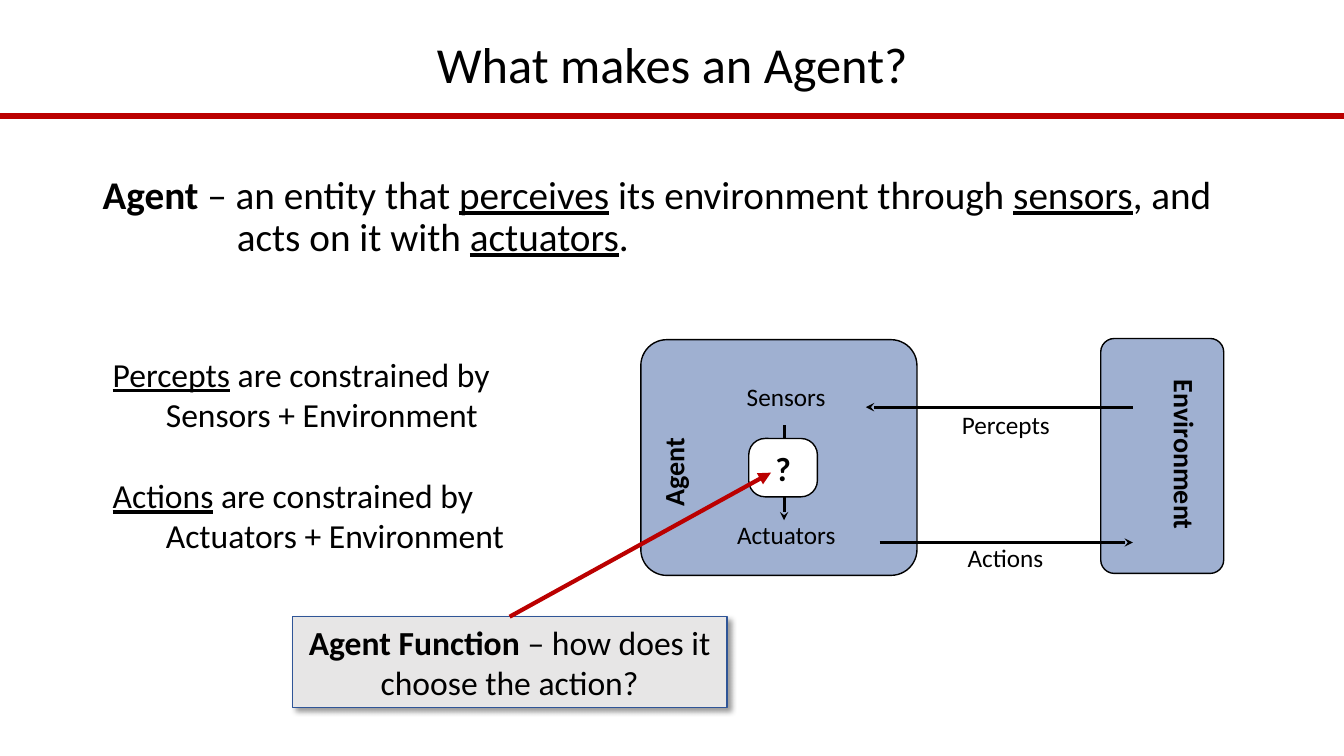
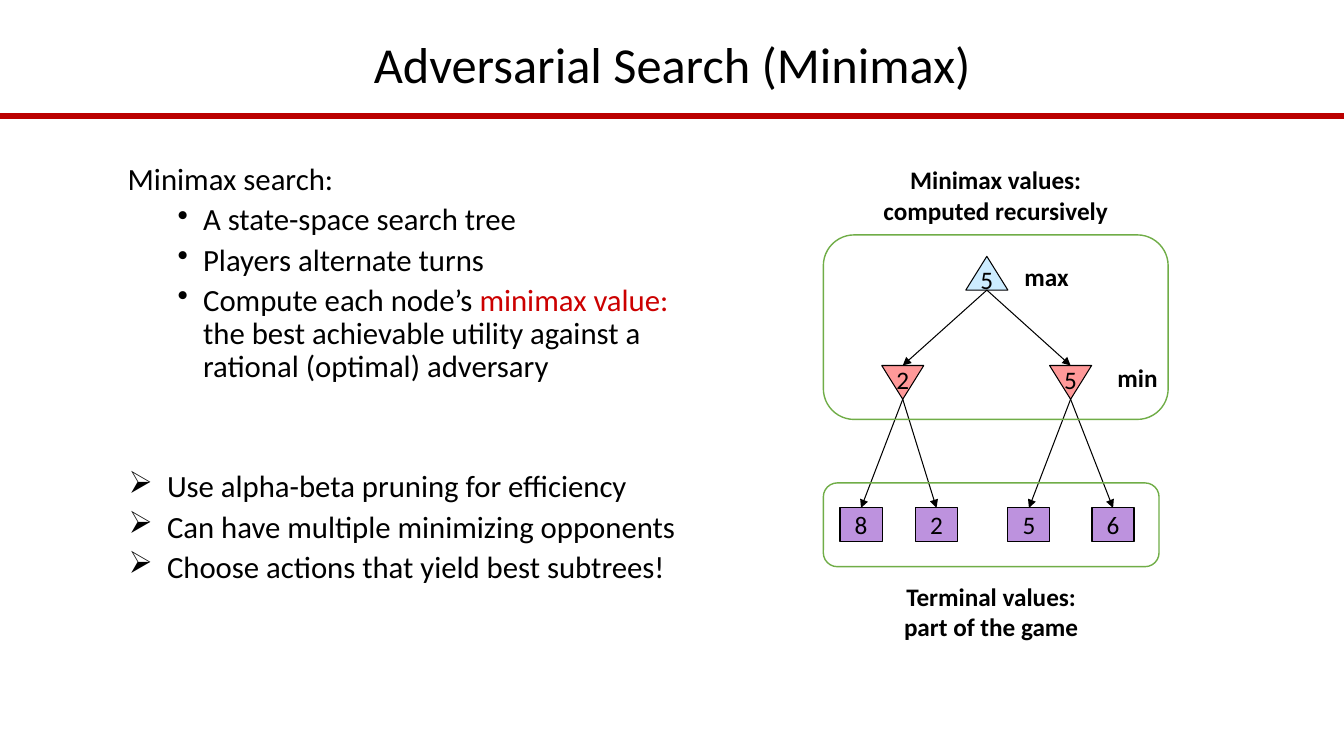
"""Build two lecture slides on agents and minimax search."""
from dataclasses import dataclass

from pptx import Presentation
from pptx import util as u
from pptx.dml.color import RGBColor
from pptx.enum import shapes, text
from pptx.oxml import parse_xml
from pptx.oxml.ns import nsdecls
from pptx.oxml.xmlchemy import OxmlElement

AGENT_TITLE = "What makes an Agent?"
DEFINITION = [
    [("Agent", "b"), (" – an entity that ", ""), ("perceives", "u"),
     (" its environment through ", ""), ("sensors", "u"),
     (", and acts on it with ", ""), ("actuators", "u"), (".", "")],
]
DEPENDENT = {"margin": 1.34}
CONSTRAINTS = [
    [("Percepts", "u"), (" are constrained by", "")],
    ("Sensors + Environment", DEPENDENT),
    ([("Actions", "u"), (" are constrained by", "")], {"before": 29}),
    ("Actuators + Environment", DEPENDENT),
]
FUNCTION = [[("Agent Function", "b"), (" – how does it choose the action?", "")]]
PANELS = [(16.15, 8.56, 6.96, 5.94), (27.74, 8.53, 3.1, 5.92)]
SIDE_LABELS = [
    ("Agent", (16.15, 10.59, 2.57, 1.78), 270, "left"),
    ("Environment", (26.77, 10.57, 5.26, 1.78), 90, "center"),
]
FLOW_LABELS = [
    ("Sensors", (18.03, 9.6, 3.56, 1.65)),
    ("Actuators", (17.81, 13.08, 4.01, 1.35)),
    ("Percepts", (23.65, 10.31, 3.4, 1.22)),
    ("Actions", (23.88, 13.67, 2.92, 1.4)),
]
FLOWS = [
    ((19.76, 10.72), (19.76, 13.11)),
    ((28.55, 10.26), (21.82, 10.26)),
    ((22.17, 13.67), (28.55, 13.67)),
]

MINIMAX_TITLE = "Adversarial Search (Minimax)"
POINT = {"margin": 1.9, "hang": 0.64, "bullet": "•", "before": 5}
ADVICE = {"margin": 0.99, "hang": 0.97, "bullet": "➢", "before": 5}
MINIMAX_NOTES = [
    "Minimax search:",
    ("A state-space search tree", POINT),
    ("Players alternate turns", POINT),
    ([("Compute each node’s ", ""), ("minimax value: ", "a"),
      ("the best achievable utility against a rational (optimal) adversary", "")], POINT),
    ("Use alpha-beta pruning for efficiency", {**ADVICE, "before": 62}),
    ("Can have multiple minimizing opponents", ADVICE),
    ("Choose actions that yield best subtrees!", ADVICE),
]
ROOT = ("5", 24.87)
BRANCHES = [
    (("2", 22.75), [("8", 21.7), ("2", 23.6)]),
    (("5", 26.98), [("5", 25.93), ("6", 28.05)]),
]
MAX_TOP, MIN_TOP, LEAF_TOP = 6.46, 9.21, 12.8
NODE_WIDTH, NODE_HEIGHT, VALUE_HEIGHT = 1.06, 0.85, 1.02
FRAMES = [(20.75, 12.17, 8.46, 2.11), (20.75, 5.92, 8.69, 4.65)]
TREE_LABELS = [
    (["max"], (25.45, 6.45, 1.85, 1.02)),
    (["min"], (27.74, 8.99, 1.85, 1.02)),
    (["Terminal values:", "part of the game"], (20.75, 14.5, 8.46, 1.8)),
    (["Minimax values:", "computed recursively"], (20.75, 4.01, 8.69, 1.8)),
]


@dataclass(frozen=True)
class Theme:
    """Colours and type sizes shared by the slides."""
    font: str = "Calibri"
    ink: str = "000000"
    paper: str = "FFFFFF"
    rule: str = "BB0000"
    accent: str = "CC0000"
    panel: str = "9FB0D1"
    callout: str = "E7E6E6"
    callout_edge: str = "2F5597"
    max_node: str = "CCECFF"
    min_node: str = "FF9999"
    leaf: str = "BD92DE"
    frame: str = "70AD47"
    title: int = 36
    lead: int = 28
    body: int = 24
    notes: int = 22
    side: int = 20
    label: int = 18


THEME = Theme()
ALIGN = {"left": text.PP_ALIGN.LEFT, "center": text.PP_ALIGN.CENTER}
SHAPE = shapes.MSO_SHAPE


def rgb(colour):
    """Turn a hex string into a colour."""
    return RGBColor.from_string(colour)


def write(frame, paragraphs, *, size, bold=False, align="left", spacing=None,
          before=0, margin=0, hang=0, bullet=None, middle=False, inset=None, wrap=True):
    """Fill a text frame with paragraphs in one format, with overrides for single ones."""
    frame.word_wrap = wrap
    frame.vertical_anchor = text.MSO_ANCHOR.MIDDLE if middle else text.MSO_ANCHOR.TOP
    if inset is not None:
        frame.margin_left = frame.margin_right = u.Cm(inset)
        frame.margin_top = frame.margin_bottom = u.Cm(inset)
    shared = {"before": before, "margin": margin, "hang": hang, "bullet": bullet}
    for index, entry in enumerate(paragraphs):
        runs, own = entry if isinstance(entry, tuple) else (entry, {})
        look = {**shared, **own}
        paragraph = frame.add_paragraph() if index else frame.paragraphs[0]
        paragraph.alignment = ALIGN[align]
        paragraph.space_before = u.Pt(look["before"])
        if spacing:
            paragraph.line_spacing = spacing
        properties = paragraph._p.get_or_add_pPr()
        properties.set("marL", str(u.Cm(look["margin"])))
        properties.set("indent", str(-u.Cm(look["hang"])))
        if look["bullet"]:
            marker = OxmlElement("a:buChar")
            marker.set("char", look["bullet"])
            properties.append(marker)
        for words, style in [(runs, "")] if isinstance(runs, str) else runs:
            run = paragraph.add_run()
            run.text = words
            run.font.name = THEME.font
            run.font.size = u.Pt(size)
            run.font.bold = bold or style == "b"
            run.font.underline = style == "u"
            run.font.color.rgb = rgb(THEME.accent if style == "a" else THEME.ink)


def add_text(slide, box, paragraphs, rotation=0, **look):
    """Add a text box at a place given in centimetres."""
    holder = slide.shapes.add_textbox(*map(u.Cm, box))
    holder.rotation = rotation
    write(holder.text_frame, paragraphs, **look)


def add_block(slide, kind, box, fill=None, edge=THEME.ink, width=1.0, rotation=0, corner=None):
    """Add an outlined shape, filled or open."""
    block = slide.shapes.add_shape(kind, *map(u.Cm, box))
    block.shadow.inherit = False
    block.rotation = rotation
    if corner is not None:
        block.adjustments[0] = corner
    if fill:
        block.fill.solid()
        block.fill.fore_color.rgb = rgb(fill)
    else:
        block.fill.background()
    block.line.color.rgb = rgb(edge)
    block.line.width = u.Pt(width)
    return block


def add_line(slide, start, end, colour=THEME.ink, width=0.75, head=None):
    """Join two points, or the top sides of shapes, with a straight line."""
    ends = [(0, 0) if hasattr(p, "shape_id") else p for p in (start, end)]
    line = slide.shapes.add_connector(
        shapes.MSO_CONNECTOR.STRAIGHT, *(u.Cm(n) for point in ends for n in point))
    if hasattr(start, "shape_id"):
        line.begin_connect(start, 0)
    if hasattr(end, "shape_id"):
        line.end_connect(end, 0)
    line.line.color.rgb = rgb(colour)
    line.line.width = u.Pt(width)
    if head:
        tip = OxmlElement("a:tailEnd")
        tip.set("type", head)
        line.line._get_or_add_ln().append(tip)
    line._element.spPr.append(OxmlElement("a:effectLst"))


def cast_shadow(block):
    """Give a shape a soft shadow to the lower right."""
    properties = block._element.spPr
    properties.remove(properties.find(OxmlElement("a:effectLst").tag))
    properties.append(parse_xml(
        f'<a:effectLst {nsdecls("a")}><a:outerShdw blurRad="{u.Pt(4)}" dist="{u.Pt(3)}" '
        f'dir="2700000" algn="tl" rotWithShape="0"><a:srgbClr val="{THEME.ink}">'
        '<a:alpha val="40000"/></a:srgbClr></a:outerShdw></a:effectLst>'))


def start_slide(deck, heading):
    """Add a slide with its title and the red rule below."""
    slide = deck.slides.add_slide(deck.slide_layouts[5])
    title = slide.shapes.title
    title.left, title.top, title.width, title.height = map(u.Cm, (2.34, 0.86, 29.21, 1.68))
    write(title.text_frame, [heading], size=THEME.title, align="center",
          spacing=0.9, middle=True)
    add_line(slide, (0, 2.92), (33.87, 2.92), THEME.rule, 4)
    return slide


def build_agent(deck):
    """Show what an agent is and how it meets its environment."""
    slide = start_slide(deck, AGENT_TITLE)
    add_text(slide, (2.34, 4.29, 29.72, 2.9), DEFINITION, size=THEME.lead,
             spacing=0.9, before=10, margin=3.38, hang=3.38)
    for box in PANELS:
        add_block(slide, SHAPE.ROUNDED_RECTANGLE, box, THEME.panel, corner=0.11)
    for start, end in FLOWS:
        add_line(slide, start, end, width=2, head="stealth")
    question = add_block(slide, SHAPE.ROUNDED_RECTANGLE, (18.87, 11.05, 1.73, 1.47),
                         THEME.paper, corner=0.28)
    write(question.text_frame, ["?"], size=THEME.body, bold=True, align="center",
          middle=True, inset=0)
    for label, box, rotation, align in SIDE_LABELS:
        add_text(slide, box, [label], rotation, size=THEME.side, bold=True,
                 align=align, inset=0)
    for label, box in FLOW_LABELS:
        add_text(slide, box, [label], size=THEME.label, align="center", inset=0)
    add_text(slide, (2.59, 8.79, 11.61, 5.38), CONSTRAINTS, size=THEME.body)
    function = add_block(slide, SHAPE.RECTANGLE, (7.37, 15.54, 10.95, 2.29),
                         THEME.callout, THEME.callout_edge)
    cast_shadow(function)
    write(function.text_frame, FUNCTION, size=THEME.body, align="center", middle=True)
    add_line(slide, function, (19.43, 11.91), THEME.rule, 3, "triangle")


def add_node(slide, kind, node, top, fill, rotation=0, shift=0.0):
    """Add a tree node centred on its column, with its value upright."""
    value, centre = node
    left = centre - NODE_WIDTH / 2
    block = add_block(slide, kind, (left, top, NODE_WIDTH, NODE_HEIGHT), fill,
                      width=0.75, rotation=rotation)
    look = {"size": THEME.label, "align": "center", "middle": True, "inset": 0}
    if kind == SHAPE.RECTANGLE:
        write(block.text_frame, [value], **look)
    else:
        add_text(slide, (left, top + shift, NODE_WIDTH, VALUE_HEIGHT), [value], **look)
    return block


def build_minimax(deck):
    """Explain minimax beside a small game tree."""
    slide = start_slide(deck, MINIMAX_TITLE)
    add_text(slide, (2.97, 4.01, 15.24, 12.57), MINIMAX_NOTES, size=THEME.notes,
             spacing=0.9, before=10)
    add_node(slide, SHAPE.ISOSCELES_TRIANGLE, ROOT, MAX_TOP, THEME.max_node, shift=0.08)
    for branch, leaves in BRANCHES:
        add_node(slide, SHAPE.ISOSCELES_TRIANGLE, branch, MIN_TOP, THEME.min_node,
                 rotation=180, shift=-0.15)
        add_line(slide, (ROOT[1], MAX_TOP + NODE_HEIGHT), (branch[1], MIN_TOP),
                 head="triangle")
        for leaf in leaves:
            square = add_node(slide, SHAPE.RECTANGLE, leaf, LEAF_TOP, THEME.leaf)
            add_line(slide, (branch[1], MIN_TOP + NODE_HEIGHT), square, head="triangle")
    for box in FRAMES:
        add_block(slide, SHAPE.ROUNDED_RECTANGLE, box, edge=THEME.frame)
    for lines, box in TREE_LABELS:
        add_text(slide, box, lines, size=THEME.label, bold=True, align="center", middle=True)


def main():
    """Build and save the deck."""
    deck = Presentation()
    deck.slide_width, deck.slide_height = u.Cm(33.87), u.Cm(19.05)
    build_agent(deck)
    build_minimax(deck)
    deck.save("out.pptx")


if __name__ == "__main__":
    main()
